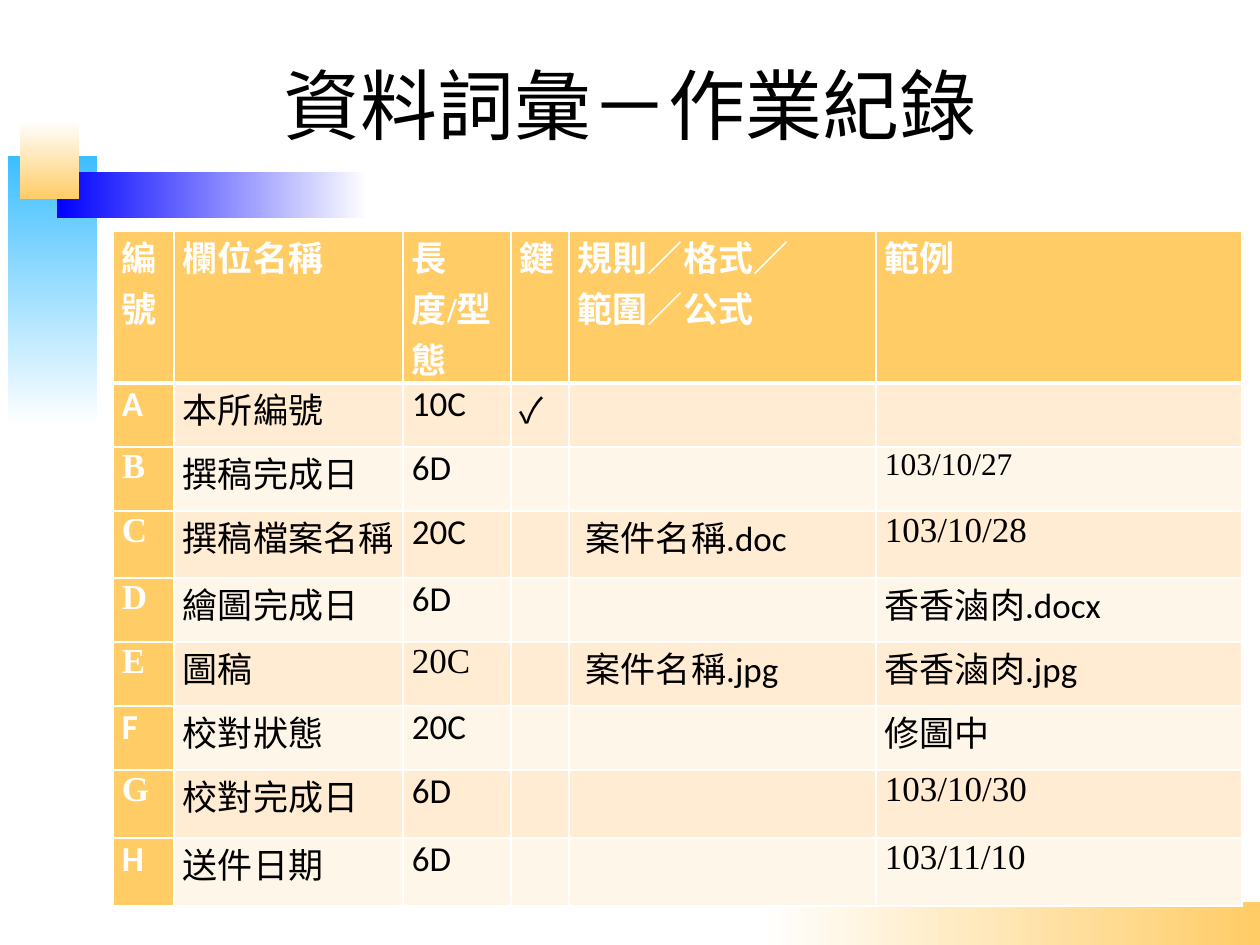
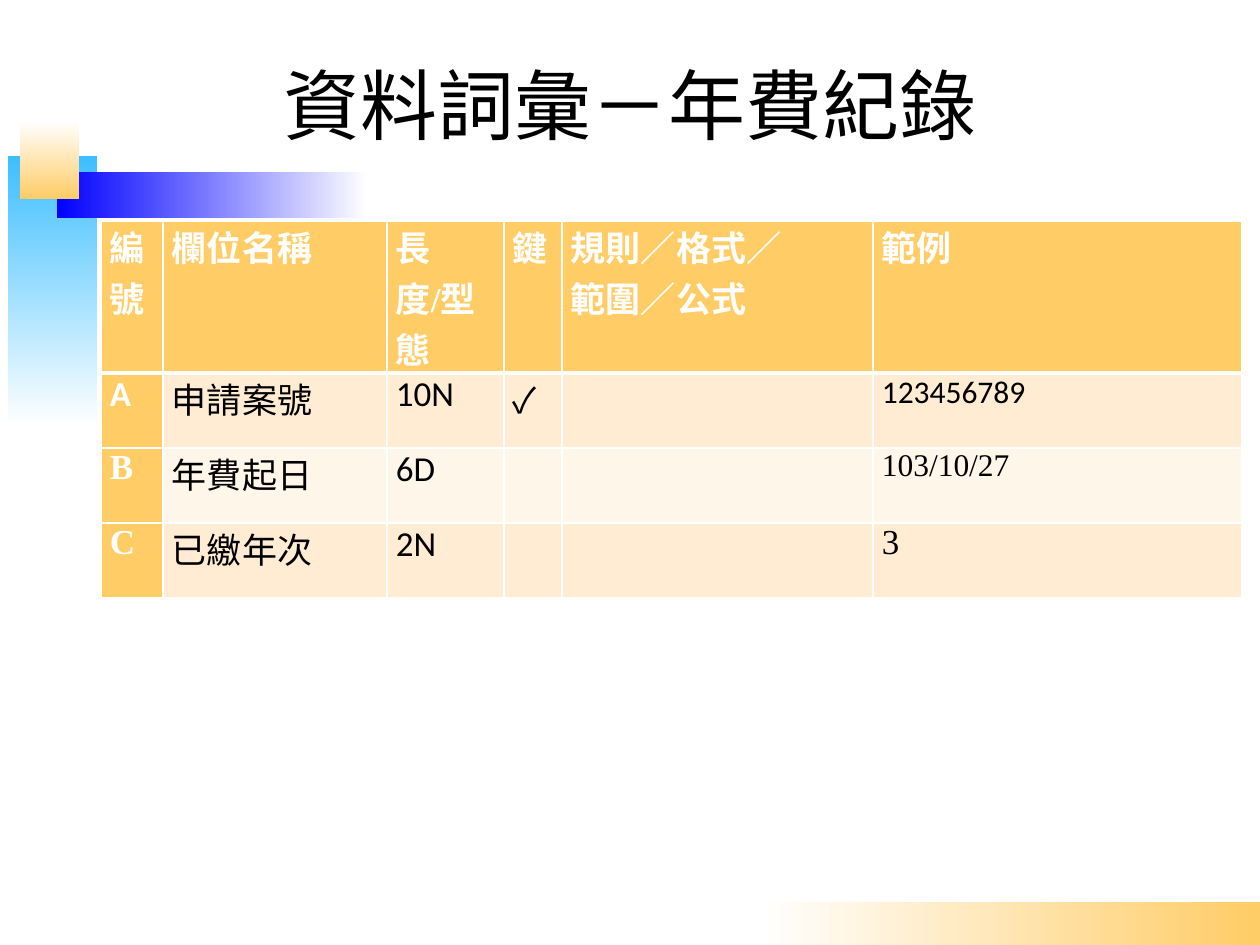
import dataclasses

import pptx
import pptx.dml.color
import pptx.enum.shapes
import pptx.enum.text
import pptx.oxml.ns
import pptx.util
from lxml import etree


@dataclasses.dataclass(frozen=True)
class Theme:
    white: str = "FFFFFF"
    ink: str = "000000"
    gold: str = "FFCC66"
    sky: str = "3DBEFF"
    blue: str = "0000FF"
    bands: tuple = ("FFECD3", "FFF6EA")
    serif: str = "Times New Roman"
    sans: str = "Calibri"
    chinese: str = "Noto Sans CJK JP"
    title_size: int = 44
    table_size: int = 20
    small_size: int = 18
    rule_width: int = 1
    header_rule_width: int = 3


THEME = Theme()


@dataclasses.dataclass(frozen=True)
class Entry:
    text: str
    font: str = THEME.sans
    size: int = THEME.table_size
    indent: int = 0


def serif(text, size=THEME.table_size):
    return Entry(text, THEME.serif, size)


def px(length):
    return pptx.util.Emu(round(length * 914400 / 126))


def rgb(color):
    return pptx.dml.color.RGBColor.from_string(color)


class Deck:
    """Holds the theme and the current slide."""

    def __init__(self, theme):
        self.theme = theme
        self.presentation = pptx.Presentation()
        self.presentation.slide_width = px(1260)
        self.presentation.slide_height = px(945)
        self.slide = None

    def new_slide(self, title):
        layout = self.presentation.slide_layouts[6]
        self.slide = self.presentation.slides.add_slide(layout)
        theme = self.theme
        # Footer band and corner blocks
        self.gradient_block(760, 902, 500, 43, theme.white, theme.gold)
        self.gradient_block(8, 156, 89, 270, theme.sky, theme.white, downward=True)
        self.gradient_block(57, 172, 311, 46, theme.blue, theme.white)
        self.gradient_block(20, 121, 59, 78, theme.white, theme.gold, downward=True)
        self.title(title)

    def gradient_block(self, left, top, width, height, start, end, downward=False):
        shape = self.slide.shapes.add_shape(
            pptx.enum.shapes.MSO_SHAPE.RECTANGLE,
            px(left), px(top), px(width), px(height))
        shape.shadow.inherit = False
        shape.line.fill.background()
        shape.fill.gradient()
        shape.fill.gradient_angle = 270 if downward else 0
        for stop, color in zip(shape.fill.gradient_stops, (start, end)):
            stop.color.rgb = rgb(color)

    def title(self, text):
        shape = self.slide.shapes.add_textbox(px(0), px(25), px(1260), px(158))
        text_frame = shape.text_frame
        text_frame.word_wrap = True
        text_frame.vertical_anchor = pptx.enum.text.MSO_ANCHOR.MIDDLE
        text_frame.margin_left = text_frame.margin_right = px(10)
        text_frame.margin_top = text_frame.margin_bottom = px(5)
        text_frame.text = text
        text_frame.paragraphs[0].alignment = pptx.enum.text.PP_ALIGN.CENTER
        self.format_runs(text_frame, self.theme.serif, self.theme.title_size, self.theme.ink)

    def format_runs(self, text_frame, name, size, color, bold=False):
        for paragraph in text_frame.paragraphs:
            for run in paragraph.runs:
                font = run.font
                font.name = name
                font.size = pptx.util.Pt(size)
                font.bold = bold
                font.color.rgb = rgb(color)
                etree.SubElement(run._r.get_or_add_rPr(), pptx.oxml.ns.qn("a:ea"),
                                 typeface=self.theme.chinese)

    def table(self, left, top, widths, heights, rows):
        frame = self.slide.shapes.add_table(
            len(heights), len(widths), px(left), px(top), px(sum(widths)), px(sum(heights)))
        table = frame.table
        table.first_row = table.horz_banding = False
        for column, width in zip(table.columns, widths):
            column.width = px(width)
        for row, height in zip(table.rows, heights):
            row.height = px(height)
        for row_index, entries in enumerate(rows):
            for column_index, entry in enumerate(entries):
                if isinstance(entry, str):
                    entry = Entry(entry)
                self.cell(table.cell(row_index, column_index), entry, row_index, column_index)

    def cell(self, cell, entry, row_index, column_index):
        theme = self.theme
        heading = row_index == 0 or column_index == 0
        self.borders(cell, row_index)
        cell.fill.solid()
        cell.fill.fore_color.rgb = rgb(theme.gold if heading else theme.bands[(row_index - 1) % 2])
        cell.margin_left = px(9 + entry.indent)
        cell.margin_right = px(9)
        cell.margin_top = cell.margin_bottom = 0
        cell.text_frame.text = entry.text
        self.format_runs(cell.text_frame, entry.font, entry.size,
                         theme.white if heading else theme.ink, bold=heading)

    def borders(self, cell, row_index):
        theme = self.theme
        thick_side = {0: "lnB", 1: "lnT"}.get(row_index)
        properties = cell._tc.get_or_add_tcPr()
        for side in ("lnL", "lnR", "lnT", "lnB"):
            width = theme.header_rule_width if side == thick_side else theme.rule_width
            line = etree.SubElement(properties, pptx.oxml.ns.qn("a:" + side),
                                    w=str(pptx.util.Pt(width)))
            fill = etree.SubElement(line, pptx.oxml.ns.qn("a:solidFill"))
            etree.SubElement(fill, pptx.oxml.ns.qn("a:srgbClr"), val=theme.white)


HEADER = [serif(text) for text in
          ("編號", "欄位名稱", "長度/型態", "鍵", "規則／格式／\n範圍／公式", "範例")]
KEY_MARK = Entry("✓", THEME.chinese)

WORK_RECORD = [
    HEADER,
    ["A", "本所編號", "10C", KEY_MARK, "", ""],
    [serif("B"), serif("撰稿完成日"), "6D", "", "", serif("103/10/27", THEME.small_size)],
    [serif("C"), "撰稿檔案名稱", "20C", "", Entry("案件名稱.doc", indent=8), serif("103/10/28")],
    [serif("D"), serif("繪圖完成日"), "6D", "", "", "香香滷肉.docx"],
    [serif("E"), serif("圖稿"), serif("20C"), "", Entry("案件名稱.jpg", indent=8), "香香滷肉.jpg"],
    ["F", serif("校對狀態"), "20C", "", "", "修圖中"],
    [serif("G"), serif("校對完成日"), "6D", "", "", serif("103/10/30")],
    ["H", serif("送件日期"), "6D", "", "", serif("103/11/10")],
]

ANNUAL_FEE_RECORD = [
    HEADER,
    ["A", "申請案號", "10N", KEY_MARK, "", Entry("123456789", size=THEME.small_size)],
    [serif("B"), serif("年費起日"), "6D", "", "", serif("103/10/27", THEME.small_size)],
    [serif("C"), "已繳年次", "2N", "", "", serif("3")],
]


def main():
    deck = Deck(THEME)

    # Work record
    deck.new_slide("資料詞彙－作業紀錄")
    deck.table(113, 231, [61, 229, 108, 58, 307, 366],
               [152, 64, 64, 67, 64, 64, 64, 68, 68], WORK_RECORD)

    # Annual fee record
    deck.new_slide("資料詞彙－年費紀錄")
    deck.table(101, 221, [62, 224, 117, 58, 311, 369],
               [152, 75, 75, 75], ANNUAL_FEE_RECORD)

    deck.presentation.save("out.pptx")


if __name__ == "__main__":
    main()
